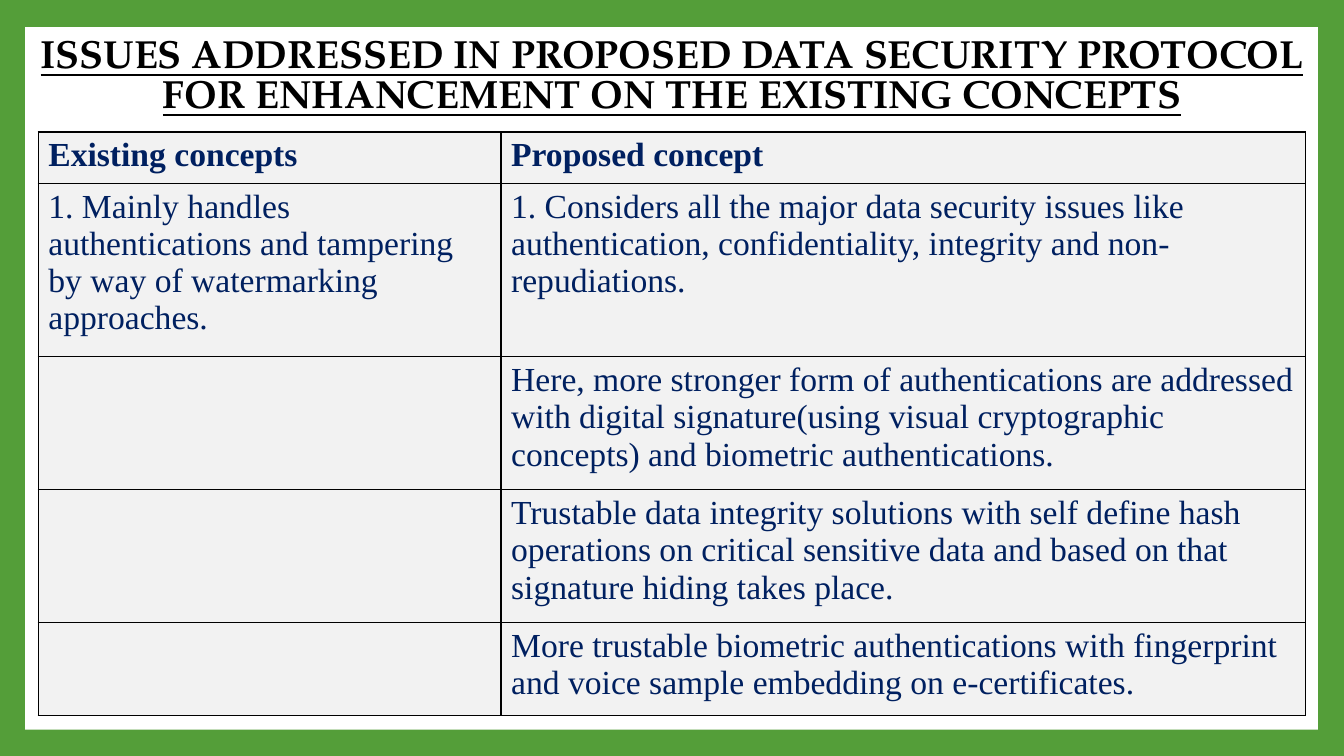
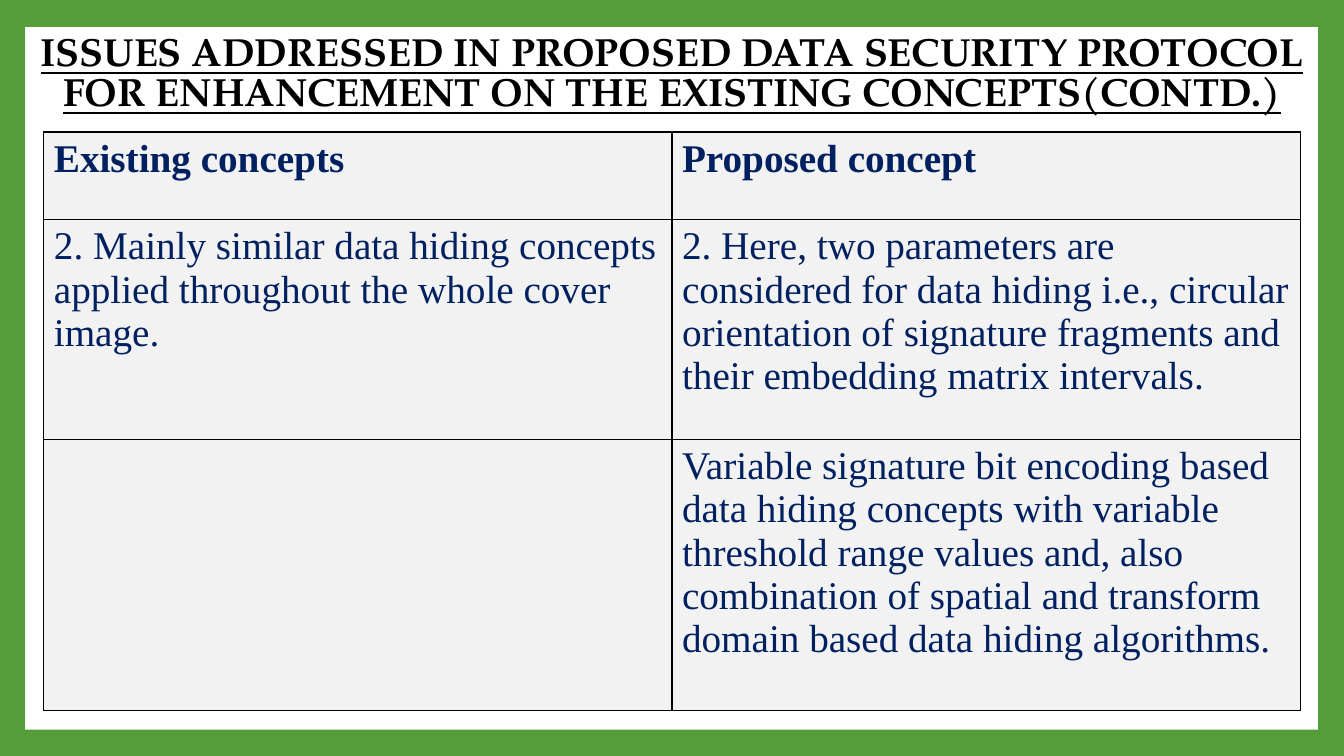
from lxml import etree
from pptx import Presentation
from pptx import util as u
from pptx.dml.color import RGBColor
from pptx.enum import shapes, text
from pptx.oxml.ns import qn

GREEN, WHITE, BLACK, NAVY, GREY = "549E39", "FFFFFF", "000000", "002060", "F2F2F2"
WIDTH, HEIGHT = 13.33, 7.5
TABLE_TOP = 1.31
TITLE_HEIGHT = 0.95
TITLE_FONT = {"name": "TeX Gyre Pagella", "size": u.Pt(28), "bold": True, "underline": True}
HEADING = "ISSUES ADDRESSED IN PROPOSED DATA SECURITY PROTOCOL FOR ENHANCEMENT ON THE EXISTING CONCEPTS"
HEADERS = ("Existing concepts", "Proposed concept")

PAGES = [
    {
        "title": HEADING,
        "title_bottom": 1.21,
        "size": 24,
        "columns": (4.59, 7.98),
        "heights": (0.51, 1.72, 1.32, 1.32, 0.92),
        "rows": [
            ("1. Mainly handles authentications and tampering by way of watermarking approaches.",
             "1. Considers all the major data security issues like authentication, confidentiality, "
             "integrity and non-repudiations."),
            ("", "Here, more stronger form of authentications are addressed with digital "
                 "signature(using visual cryptographic concepts) and biometric authentications."),
            ("", "Trustable data integrity solutions with self define hash operations on critical "
                 "sensitive data and based on that signature hiding takes place."),
            ("", "More trustable biometric authentications with fingerprint and voice sample "
                 "embedding on e-certificates."),
        ],
    },
    {
        "title": HEADING + "(CONTD.)",
        "title_bottom": 1.19,
        "size": 28,
        "columns": (6.23, 6.23),
        "heights": (0.87, 2.18, 2.69),
        "rows": [
            ("2. Mainly similar data hiding concepts applied throughout the whole cover image.",
             "2. Here, two parameters are considered for data hiding i.e., circular orientation of "
             "signature fragments and their embedding matrix intervals."),
            ("", "Variable signature bit encoding based data hiding concepts with variable threshold "
                 "range values and, also combination of spatial and transform domain based data "
                 "hiding algorithms."),
        ],
    },
]


def paint(fill, colour):
    fill.solid()
    fill.fore_color.rgb = RGBColor.from_string(colour)


def assign(target, values):
    for name, value in values.items():
        setattr(target, name, value)


def write(para, words, colour, font):
    span = para.add_run()
    span.text = words
    assign(span.font, font)
    span.font.color.rgb = RGBColor.from_string(colour)


def place(left, top, width, height):
    return [u.Inches(value) for value in (left, top, width, height)]


def add_panel(page):
    panel = page.shapes.add_shape(shapes.MSO_SHAPE.RECTANGLE, *place(0.25, 0.27, 12.82, 6.97))
    panel.shadow.inherit = False
    paint(panel.fill, WHITE)
    panel.line.fill.background()
    page.shapes.title._element.addprevious(panel._element)


def format_title(page, content):
    title = page.shapes.title
    box = place(0, content["title_bottom"] - TITLE_HEIGHT, WIDTH, TITLE_HEIGHT)
    assign(title, dict(zip(("left", "top", "width", "height"), box)))
    assign(title.text_frame, {
        "word_wrap": True,
        "auto_size": text.MSO_AUTO_SIZE.NONE,
        "vertical_anchor": text.MSO_ANCHOR.BOTTOM,
    })
    para = title.text_frame.paragraphs[0]
    assign(para, {"alignment": text.PP_ALIGN.CENTER, "line_spacing": 0.85})
    write(para, content["title"], BLACK, TITLE_FONT)


def add_borders(cell):
    properties = cell._tc.get_or_add_tcPr()
    for side in ("a:lnL", "a:lnR", "a:lnT", "a:lnB"):
        line = etree.SubElement(properties, qn(side), w=str(u.Pt(1)))
        fill = etree.SubElement(line, qn("a:solidFill"))
        etree.SubElement(fill, qn("a:srgbClr"), val=BLACK)


def add_comparison(page, content):
    rows = [HEADERS] + content["rows"]
    columns, heights = content["columns"], content["heights"]
    width = sum(columns)
    area = place((WIDTH - width) / 2, TABLE_TOP, width, sum(heights))
    table = page.shapes.add_table(len(rows), len(columns), *area).table
    for column, size in zip(table.columns, columns):
        column.width = u.Inches(size)
    for index, (row, height, words) in enumerate(zip(table.rows, heights, rows)):
        row.height = u.Inches(height)
        font = {"name": "Times New Roman", "size": u.Pt(content["size"]), "bold": index == 0}
        for cell, phrase in zip(row.cells, words):
            add_borders(cell)
            paint(cell.fill, GREY)
            if phrase:
                write(cell.text_frame.paragraphs[0], phrase, NAVY, font)


def main():
    deck = Presentation()
    assign(deck, {"slide_width": u.Inches(WIDTH), "slide_height": u.Inches(HEIGHT)})
    paint(deck.slide_master.background.fill, GREEN)
    layout = deck.slide_layouts.get_by_name("Title Only")
    for content in PAGES:
        page = deck.slides.add_slide(layout)
        add_panel(page)
        format_title(page, content)
        add_comparison(page, content)
    deck.save("out.pptx")


if __name__ == "__main__":
    main()
